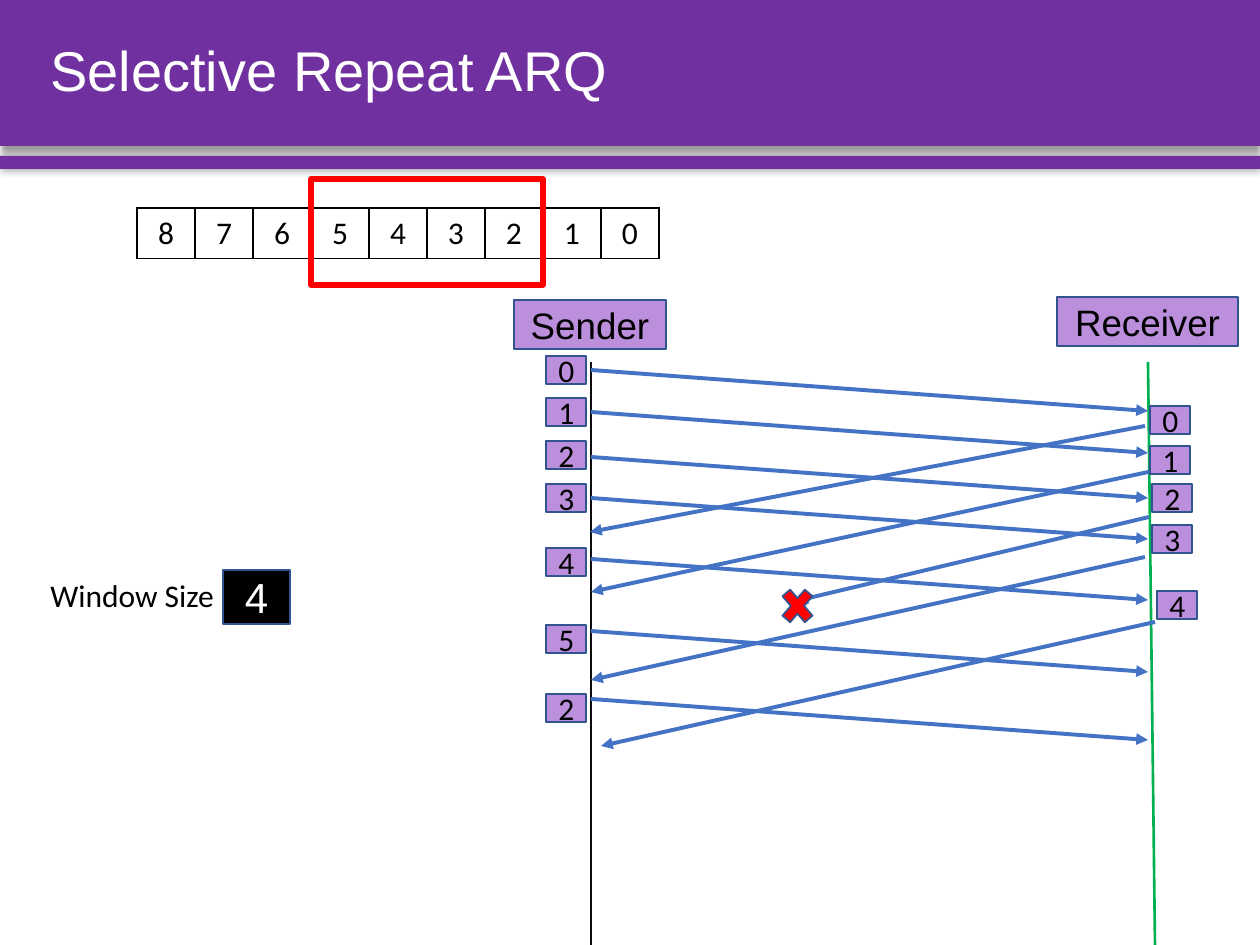
from dataclasses import dataclass
from typing import NamedTuple

from lxml.etree import SubElement
from pptx import Presentation
from pptx.dml.color import RGBColor
from pptx.enum.shapes import MSO_CONNECTOR, MSO_SHAPE as Preset
from pptx.enum.text import MSO_ANCHOR as Anchor, PP_ALIGN as Align
from pptx.oxml.ns import qn
from pptx.util import Emu, Pt

PX_PER_INCH = 126


@dataclass(frozen=True)
class Theme:
    purple: str = "7030A0"
    lilac: str = "BC8FDD"
    outline: str = "325491"
    arrow: str = "4472C4"
    sender: str = "0D0D0D"
    receiver: str = "00B050"
    red: str = "FF0000"
    black: str = "000000"
    white: str = "FFFFFF"
    heading_font: str = "Arial"
    body_font: str = "Calibri"
    title_size: int = 32
    window_size: int = 24
    host_size: int = 21
    body_size: int = 18


THEME = Theme()


class Box(NamedTuple):
    left: int
    top: int
    width: int
    height: int


class Frame(NamedTuple):
    number: str
    left: int
    top: int


class Line(NamedTuple):
    x1: int
    y1: int
    x2: int
    y2: int


def px(length: int) -> Emu:
    return Emu(round(length * 914400 / PX_PER_INCH))


def rgb(colour: str) -> RGBColor:
    return RGBColor.from_string(colour)


def write(text_frame, text: str, *, size: int = THEME.body_size,
          font: str = THEME.body_font, colour: str = THEME.black,
          align=Align.CENTER, anchor=Anchor.MIDDLE, spacing: float = 1.0) -> None:
    text_frame.word_wrap = True
    text_frame.vertical_anchor = anchor
    paragraph = text_frame.paragraphs[0]
    paragraph.alignment = align
    paragraph.line_spacing = spacing
    run = paragraph.add_run()
    run.text = text
    run.font.size = Pt(size)
    run.font.name = font
    run.font.color.rgb = rgb(colour)


def draw_shape(slide, box: Box, fill: str | None = None, line: str | None = None,
               width: float = 1, preset=Preset.RECTANGLE):
    shape = slide.shapes.add_shape(preset, *map(px, box))
    shape.shadow.inherit = False
    if fill:
        shape.fill.solid()
        shape.fill.fore_color.rgb = rgb(fill)
    else:
        shape.fill.background()
    if line:
        shape.line.color.rgb = rgb(line)
        shape.line.width = Pt(width)
    else:
        shape.line.fill.background()
    return shape


def draw_label(slide, box: Box, text: str, fill: str = THEME.lilac, **text_format) -> None:
    label = draw_shape(slide, box, fill, THEME.outline)
    label.text_frame.margin_top = label.text_frame.margin_bottom = 0
    write(label.text_frame, text, **text_format)


def draw_bar(slide, box: Box, blur: int, distance: int, angle: int) -> None:
    bar = draw_shape(slide, box, THEME.purple)
    effects = bar._element.spPr.find(qn("a:effectLst"))
    shadow = SubElement(effects, qn("a:outerShdw"), blurRad=str(Pt(blur)),
                        dist=str(Pt(distance)), dir=str(angle * 60000),
                        algn="t", rotWithShape="0")
    tint = SubElement(shadow, qn("a:srgbClr"), val=THEME.black)
    SubElement(tint, qn("a:alpha"), val="40000")


def draw_line(slide, line: Line, colour: str = THEME.arrow,
              width: float = 2.25, arrow: bool = True) -> None:
    connector = slide.shapes.add_connector(MSO_CONNECTOR.STRAIGHT, *map(px, line))
    connector.line.color.rgb = rgb(colour)
    connector.line.width = Pt(width)
    if arrow:
        SubElement(connector.line._get_or_add_ln(), qn("a:tailEnd"), type="triangle")
    SubElement(connector._element.spPr, qn("a:effectLst"))


def draw_sequence(slide, box: Box, numbers: str) -> None:
    table = slide.shapes.add_table(1, len(numbers), *map(px, box)).table
    table.first_row = table.horz_banding = False
    for column, number in enumerate(numbers):
        table.columns[column].width = px(box.width // len(numbers))
        cell = table.cell(0, column)
        properties = cell._tc.get_or_add_tcPr()
        for side in ("lnL", "lnR", "lnT", "lnB"):
            border = SubElement(properties, qn(f"a:{side}"), w=str(Pt(1)))
            SubElement(SubElement(border, qn("a:solidFill")),
                       qn("a:srgbClr"), val=THEME.black)
        cell.fill.background()
        write(cell.text_frame, number, anchor=Anchor.TOP)


def draw_caption(slide, box: Box, text: str, **text_format) -> None:
    caption = slide.shapes.add_textbox(*map(px, box))
    write(caption.text_frame, text, align=Align.LEFT, **text_format)


SENDER_X, RECEIVER_X, TRANSIT = 591, 1148, 41
LIFELINE_TOP, SLIDE_BOTTOM = 362, 945
CELL = 58
SEQUENCE = Box(137, 208, 9 * CELL, 50)

SEND_STARTS = (370, 412, 457, 498, 559, 631, 699)
ACKS = (
    Line(1145, 426, 590, 532),
    Line(1153, 471, SENDER_X, 592),
    Line(1149, 517, 796, 601),
    Line(1145, 557, SENDER_X, 680),
    Line(1155, 622, 601, 746),
)
SENT = [Frame(number, 546, top) for number, top in
        zip("0123452", (356, 398, 441, 484, 548, 625, 694))]
RECEIVED = [Frame("0", 1150, 406), Frame("1", 1150, 446), Frame("2", 1152, 484),
            Frame("3", 1152, 525), Frame("4", 1157, 591)]


def main() -> None:
    deck = Presentation()
    deck.slide_width, deck.slide_height = px(1260), px(SLIDE_BOTTOM)
    slide = deck.slides.add_slide(deck.slide_layouts[6])

    # Title band
    draw_bar(slide, Box(0, 0, 1260, 146), blur=4, distance=3, angle=90)
    draw_bar(slide, Box(0, 156, 1260, 13), blur=5, distance=0, angle=0)
    draw_caption(slide, Box(38, 0, 1192, 146), "Selective Repeat ARQ",
                 size=THEME.title_size, font=THEME.heading_font,
                 colour=THEME.white, spacing=0.9)

    # Lifelines
    draw_line(slide, Line(SENDER_X, LIFELINE_TOP, SENDER_X, SLIDE_BOTTOM),
              THEME.sender, 1.5, arrow=False)
    draw_line(slide, Line(RECEIVER_X, LIFELINE_TOP, 1155, SLIDE_BOTTOM),
              THEME.receiver, 1.5, arrow=False)

    # Window size
    draw_caption(slide, Box(38, 570, 486, 50), "Window Size", anchor=Anchor.TOP)
    draw_label(slide, Box(223, 570, 67, 54), "4", THEME.black, size=THEME.window_size,
               font=THEME.heading_font, colour=THEME.white)

    # Frames, acknowledgements and the lost acknowledgement
    for start in SEND_STARTS:
        draw_line(slide, Line(SENDER_X, start, RECEIVER_X, start + TRANSIT))
    for ack in ACKS:
        draw_line(slide, ack)
    draw_shape(slide, Box(776, 581, 43, 50), THEME.red, THEME.outline,
               preset=Preset.MATH_MULTIPLY)

    # Hosts and frame numbers
    for host, box in (("Receiver", Box(1057, 297, 181, 49)),
                      ("Sender", Box(514, 300, 152, 49))):
        draw_label(slide, box, host, size=THEME.host_size, font=THEME.heading_font)
    for frame in SENT + RECEIVED:
        draw_label(slide, Box(frame.left, frame.top, 40, 28), frame.number)

    # Sequence numbers with the window over 5 to 2
    draw_sequence(slide, SEQUENCE, "876543210")
    draw_shape(slide, Box(SEQUENCE.left + 3 * CELL, 179, 4 * CELL, 106),
               line=THEME.red, width=3)

    deck.save("out.pptx")


if __name__ == "__main__":
    main()
